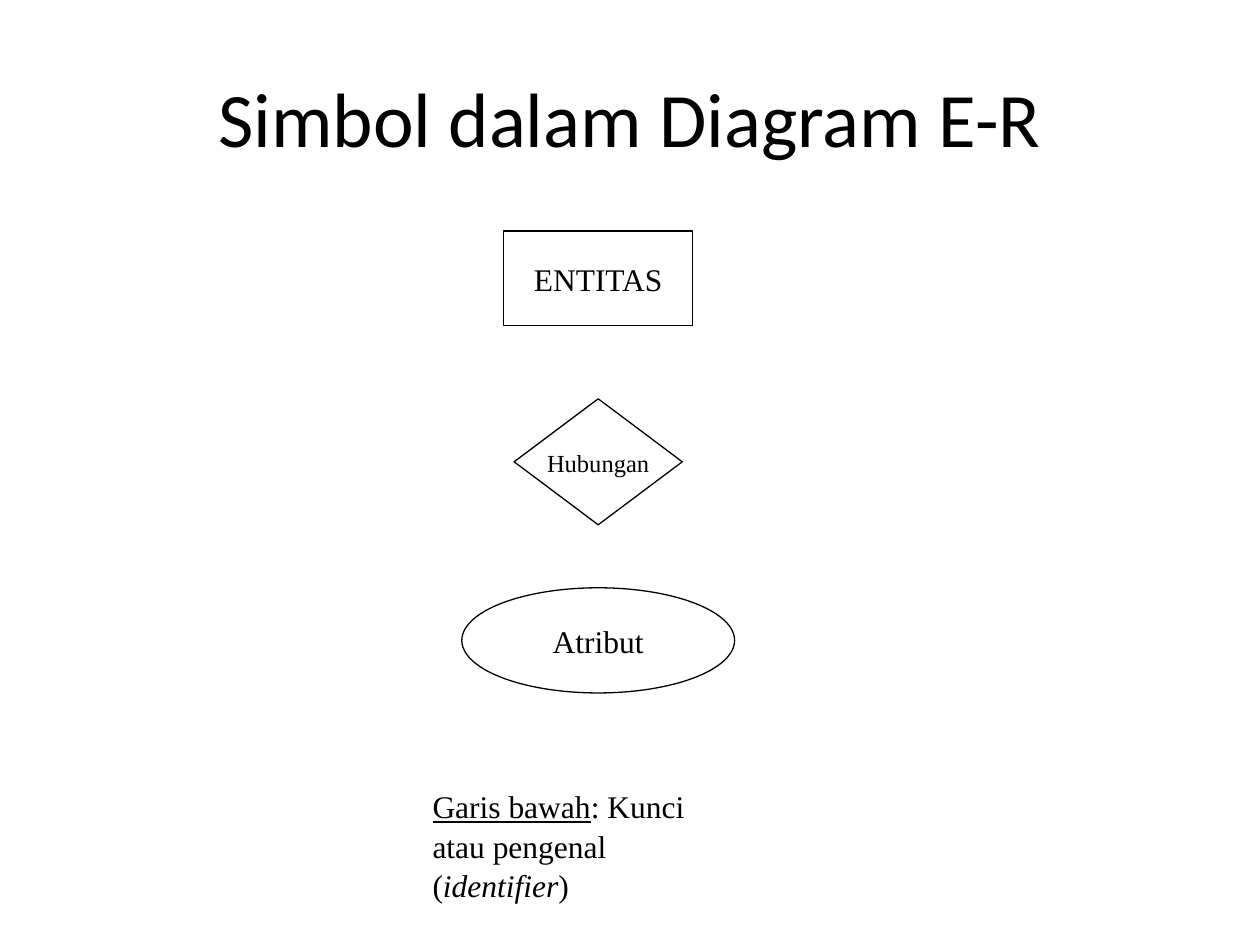
from pptx import Presentation
from pptx.dml.color import RGBColor
from pptx.enum.shapes import MSO_SHAPE
from pptx.enum.text import MSO_ANCHOR, MSO_AUTO_SIZE, PP_ALIGN
from pptx.util import Cm, Pt

RECTANGLE = MSO_SHAPE.RECTANGLE
DECISION = MSO_SHAPE.FLOWCHART_DECISION
OVAL = MSO_SHAPE.OVAL
MIDDLE = MSO_ANCHOR.MIDDLE
CENTER = PP_ALIGN.CENTER
GROW = MSO_AUTO_SIZE.SHAPE_TO_FIT_TEXT

SYMBOL_AXIS = 12.06


def color(hex_value):
    return RGBColor.from_string(hex_value)


class ErSlide:
    ink = "000000"
    title_font = "Calibri"
    body_font = "Times New Roman"
    line_spacing = 1.05

    def __init__(self, deck):
        self.slide = deck.slides.add_slide(deck.slide_layouts[5])

    def style(self, paragraph, font_name, size):
        paragraph.font.name = font_name
        paragraph.font.size = Pt(size)
        paragraph.font.color.rgb = color(self.ink)

    def title(self, text, left, top, width, height):
        heading = self.slide.shapes.title
        heading.left, heading.top = Cm(left), Cm(top)
        heading.width, heading.height = Cm(width), Cm(height)
        frame = heading.text_frame
        frame.text = text
        frame.vertical_anchor = MIDDLE
        paragraph = frame.paragraphs[0]
        paragraph.alignment = CENTER
        self.style(paragraph, self.title_font, 44)

    def symbol(self, kind, text, top, width, height, size=18):
        symbol = self.slide.shapes.add_shape(
            kind, Cm(SYMBOL_AXIS - width / 2), Cm(top), Cm(width), Cm(height))
        symbol.shadow.inherit = False
        symbol.fill.background()
        symbol.line.color.rgb = color(self.ink)
        symbol.line.width = Pt(0.75)
        frame = symbol.text_frame
        frame.text = text
        frame.word_wrap = False
        frame.vertical_anchor = MIDDLE
        paragraph = frame.paragraphs[0]
        paragraph.alignment = CENTER
        paragraph.line_spacing = self.line_spacing
        self.style(paragraph, self.body_font, size)

    def legend(self, parts, left, top, width, height):
        box = self.slide.shapes.add_textbox(Cm(left), Cm(top), Cm(width), Cm(height))
        frame = box.text_frame
        frame.word_wrap = True
        frame.auto_size = GROW
        paragraph = frame.paragraphs[0]
        paragraph.line_spacing = self.line_spacing
        self.style(paragraph, self.body_font, 18)
        for text, emphasis in parts:
            run = paragraph.add_run()
            run.text = text
            if emphasis == "underline":
                run.font.underline = True
            elif emphasis == "italic":
                run.font.italic = True


def main():
    deck = Presentation()
    deck.slide_width, deck.slide_height = Cm(25.4), Cm(19.05)
    page = ErSlide(deck)
    page.title("Simbol dalam Diagram E-R", 1.27, 0.76, 22.86, 3.18)
    page.symbol(RECTANGLE, "ENTITAS", 4.66, 3.81, 1.9)
    page.symbol(DECISION, "Hubungan", 8.04, 3.39, 2.54, size=14)
    page.symbol(OVAL, "Atribut", 11.85, 5.5, 2.12)
    page.legend([
        ("Garis bawah", "underline"),
        (": Kunci atau pengenal (", None),
        ("identifier", "italic"),
        (")", None),
    ], 8.47, 15.7, 6.77, 2.54)
    deck.save("out.pptx")


if __name__ == "__main__":
    main()
